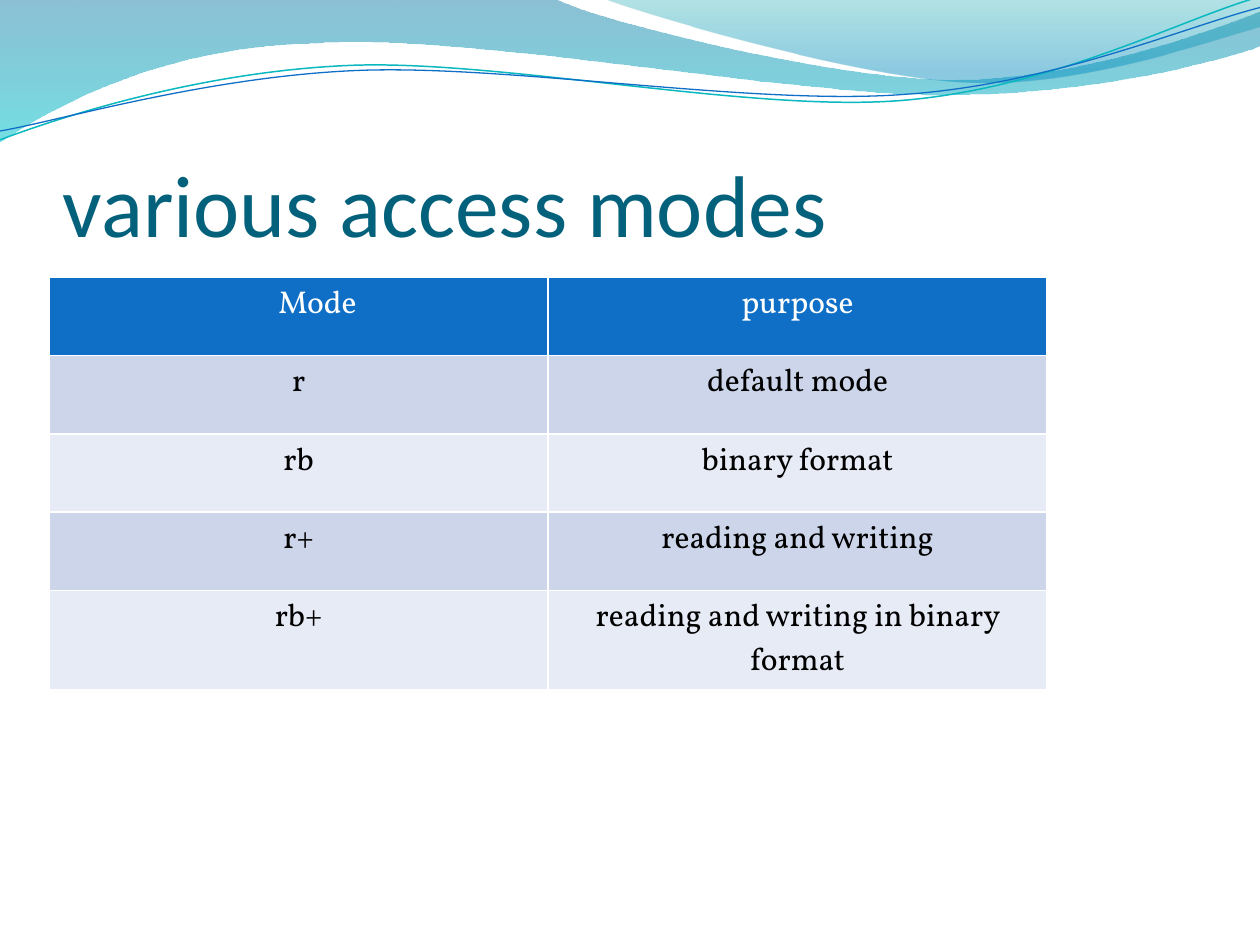
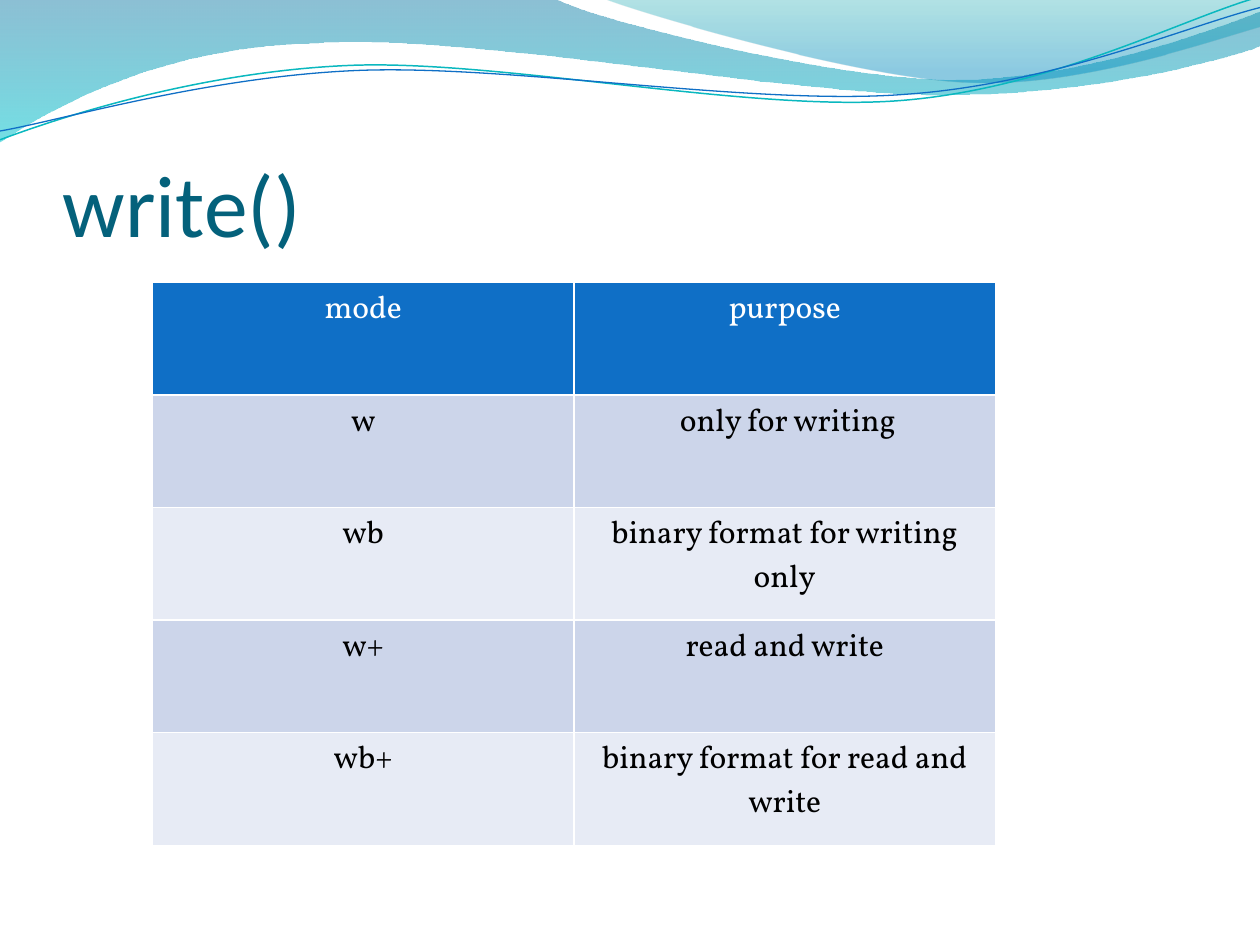
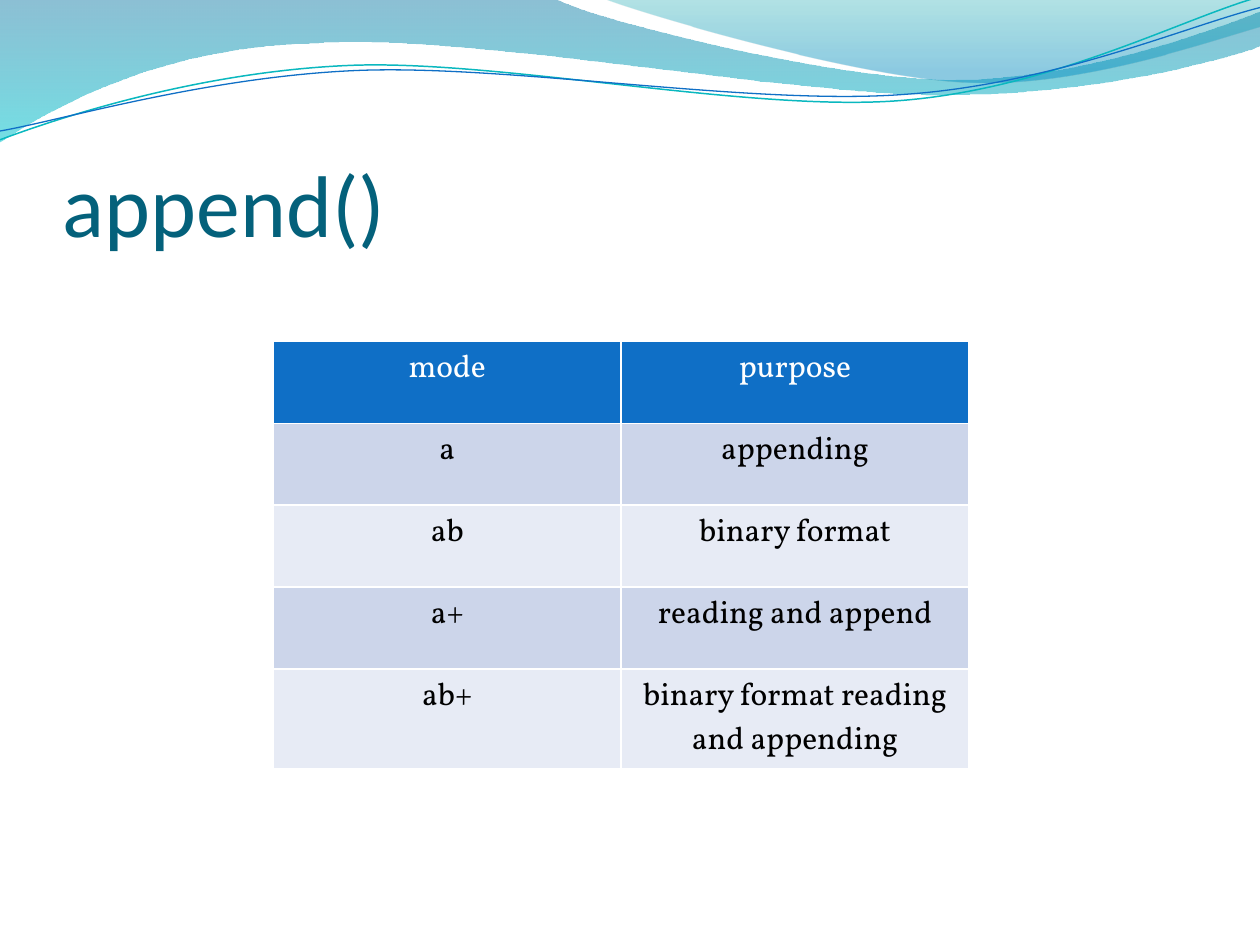
import dataclasses
import typing

import lxml.etree
import pptx
import pptx.dml.color
import pptx.enum.text
import pptx.oxml.ns
import pptx.util

Inches = pptx.util.Inches
Point = tuple[float, float]

WHITE = "FFFFFF"
BLACK = "000000"
TITLE_TEAL = "04617B"
HEADER_BLUE = "0F6FC6"
BAND_DARK = "CCD5EA"
BAND_LIGHT = "E7EBF5"
TITLE_FONT = "Calibri"
TABLE_FONT = "Vollkorn"
TWO_LINE_HEIGHT = 0.79


class GradientStop(typing.NamedTuple):
    position: float
    colour: str
    opacity: int


@dataclasses.dataclass(frozen=True)
class Wave:
    start: Point
    segments: tuple[tuple[Point, ...], ...]
    stops: tuple[GradientStop, ...] = ()
    line_colour: str = ""
    line_width: float = 0


@dataclasses.dataclass(frozen=True)
class ModePage:
    title: str
    left: float
    top: float
    width: float
    height: float
    rows: tuple[tuple[str, str], ...]
    first_indent: float = 0


WAVES = (
    Wave(
        (0, 0),
        (
            ((4.4, -0.01),),
            ((4.76, 0.17), (6.64, 0.63), (7.58, 0.63)),
            ((8.53, 0.63), (9.58, 0.26), (10, 0.09)),
            ((10.01, 0.36),),
            ((9.83, 0.44), (8.7, 0.76), (7.46, 0.75)),
            ((6.22, 0.75), (3.82, 0.28), (2.57, 0.34)),
            ((1.29, 0.36), (0.46, 0.83), (-0.01, 1.13)),
            ((0, 0),),
        ),
        stops=(GradientStop(0, "0074A1", 45), GradientStop(1, "00C6CF", 55)),
    ),
    Wave(
        (4.79, -0.01),
        (
            ((5.09, 0.11), (6.82, 0.62), (7.69, 0.65)),
            ((8.56, 0.69), (9.61, 0.32), (10, 0.21)),
            ((10, 0),),
            ((4.79, -0.01),),
        ),
        stops=(GradientStop(0, "00A1A9", 30), GradientStop(0.8, "008BBF", 45)),
    ),
    Wave(
        (0, 1.11),
        (
            ((0.48, 0.93), (1.58, 0.57), (2.77, 0.52)),
            ((3.95, 0.47), (5.93, 0.89), (7.13, 0.8)),
            ((8.33, 0.71), (9.38, 0.15), (9.98, -0.02)),
        ),
        line_colour="0AB8BF",
        line_width=0.85,
    ),
    Wave(
        (0, 1.04),
        (
            ((0.47, 0.96), (1.64, 0.61), (2.83, 0.56)),
            ((4.03, 0.51), (5.97, 0.84), (7.17, 0.75)),
            ((8.36, 0.67), (9.41, 0.21), (10, 0.06)),
        ),
        line_colour=HEADER_BLUE,
        line_width=0.75,
    ),
)

PAGES = (
    ModePage(
        "various access modes", 0.39, 2.2, 7.92, 3.11,
        (
            ("Mode", "purpose"),
            ("r", "default mode"),
            ("rb", "binary format"),
            ("r+", "reading and writing"),
            ("rb+", "reading and writing in binary format"),
        ),
        first_indent=0.3,
    ),
    ModePage(
        "write()", 1.21, 2.24, 6.69, 4.47,
        (
            ("mode", "purpose"),
            ("w", " only for writing"),
            ("wb", "binary format for writing only"),
            ("w+", "read and write"),
            ("wb+", "binary format for read and write"),
        ),
    ),
    ModePage(
        "append()", 2.17, 2.71, 5.52, 3.25,
        (
            ("mode", "purpose"),
            ("a", "appending"),
            ("ab", "binary format"),
            ("a+", "reading and append"),
            ("ab+", "binary format reading and appending"),
        ),
    ),
)


def rgb(colour: str) -> pptx.dml.color.RGBColor:
    return pptx.dml.color.RGBColor.from_string(colour)


def add_element(parent, tag: str, **attributes: str):
    return lxml.etree.SubElement(parent, pptx.oxml.ns.qn(tag), attributes)


def bend_segments(shape, segments: tuple[tuple[Point, ...], ...]) -> None:
    vertices = iter(list(shape.element.iter(pptx.oxml.ns.qn("a:lnTo"))))
    for segment in segments:
        first, *others = [next(vertices) for _ in segment]
        if others:
            first.tag = pptx.oxml.ns.qn("a:cubicBezTo")
        for vertex in others:
            first.append(vertex[0])
            vertex.getparent().remove(vertex)


def draw_wave(page, wave: Wave) -> None:
    start_x, start_y = map(Inches, wave.start)
    builder = page.shapes.build_freeform(start_x, start_y)
    points = [(Inches(x), Inches(y)) for segment in wave.segments for x, y in segment]
    builder.add_line_segments(points, close=bool(wave.stops))
    shape = builder.convert_to_shape()
    bend_segments(shape, wave.segments)
    shape.shadow.inherit = False
    if not wave.stops:
        shape.fill.background()
        shape.line.color.rgb = rgb(wave.line_colour)
        shape.line.width = pptx.util.Pt(wave.line_width)
        return
    shape.line.fill.background()
    shape.fill.gradient()
    shape.fill.gradient_angle = 270
    for target, stop in zip(shape.fill.gradient_stops, wave.stops):
        target.position = stop.position
        target.color.rgb = rgb(stop.colour)
    colours = shape.element.iter(pptx.oxml.ns.qn("a:srgbClr"))
    for colour, stop in zip(colours, wave.stops):
        add_element(colour, "a:alpha", val=str(stop.opacity * 1000))


def format_text(para, font_name: str, size: float, colour: str) -> None:
    for span in para.runs:
        span.font.name = font_name
        span.font.size = pptx.util.Pt(size)
        span.font.bold = False
        span.font.color.rgb = rgb(colour)


def draw_title(page, title: str) -> None:
    box = page.shapes.add_textbox(Inches(0.5), Inches(0.77), Inches(9), Inches(1.25))
    frame = box.text_frame
    frame.word_wrap = True
    frame.vertical_anchor = pptx.enum.text.MSO_ANCHOR.BOTTOM
    frame.margin_left = frame.margin_right = frame.margin_bottom = 0
    frame.margin_top = Inches(0.05)
    frame.text = title
    format_text(frame.paragraphs[0], TITLE_FONT, 50, TITLE_TEAL)


def draw_borders(cell) -> None:
    properties = cell._tc.get_or_add_tcPr()
    for side in "LRTB":
        border = add_element(properties, f"a:ln{side}", w=str(pptx.util.Pt(1)))
        fill = add_element(border, "a:solidFill")
        add_element(fill, "a:srgbClr", val=WHITE)


def draw_cell(cell, text: str, row: int) -> None:
    is_header = row == 0
    draw_borders(cell)
    cell.fill.solid()
    band = BAND_DARK if row % 2 else BAND_LIGHT
    cell.fill.fore_color.rgb = rgb(HEADER_BLUE if is_header else band)
    cell.margin_left = cell.margin_right = Inches(0.07)
    cell.margin_top = cell.margin_bottom = Inches(0.05)
    cell.text_frame.text = text
    para = cell.text_frame.paragraphs[0]
    para.alignment = pptx.enum.text.PP_ALIGN.CENTER
    format_text(para, TABLE_FONT, 18, WHITE if is_header else BLACK)


def draw_table(page, content: ModePage) -> None:
    row_count = len(content.rows)
    table = page.shapes.add_table(
        row_count,
        len(content.rows[0]),
        Inches(content.left),
        Inches(content.top),
        Inches(content.width),
        Inches(content.height),
    ).table
    row_height = content.height / row_count
    for row, texts in enumerate(content.rows):
        table.rows[row].height = Inches(row_height)
        for column, text in enumerate(texts):
            draw_cell(table.cell(row, column), text, row)
    table.rows[row_count - 1].height = Inches(max(row_height, TWO_LINE_HEIGHT))
    table.cell(0, 0).margin_left += Inches(content.first_indent)


def main() -> None:
    deck = pptx.Presentation()
    deck.slide_width = Inches(10)
    deck.slide_height = Inches(7.5)
    for content in PAGES:
        page = deck.slides.add_slide(deck.slide_layouts[6])
        for wave in WAVES:
            draw_wave(page, wave)
        draw_title(page, content.title)
        draw_table(page, content)
    deck.save("out.pptx")


if __name__ == "__main__":
    main()
